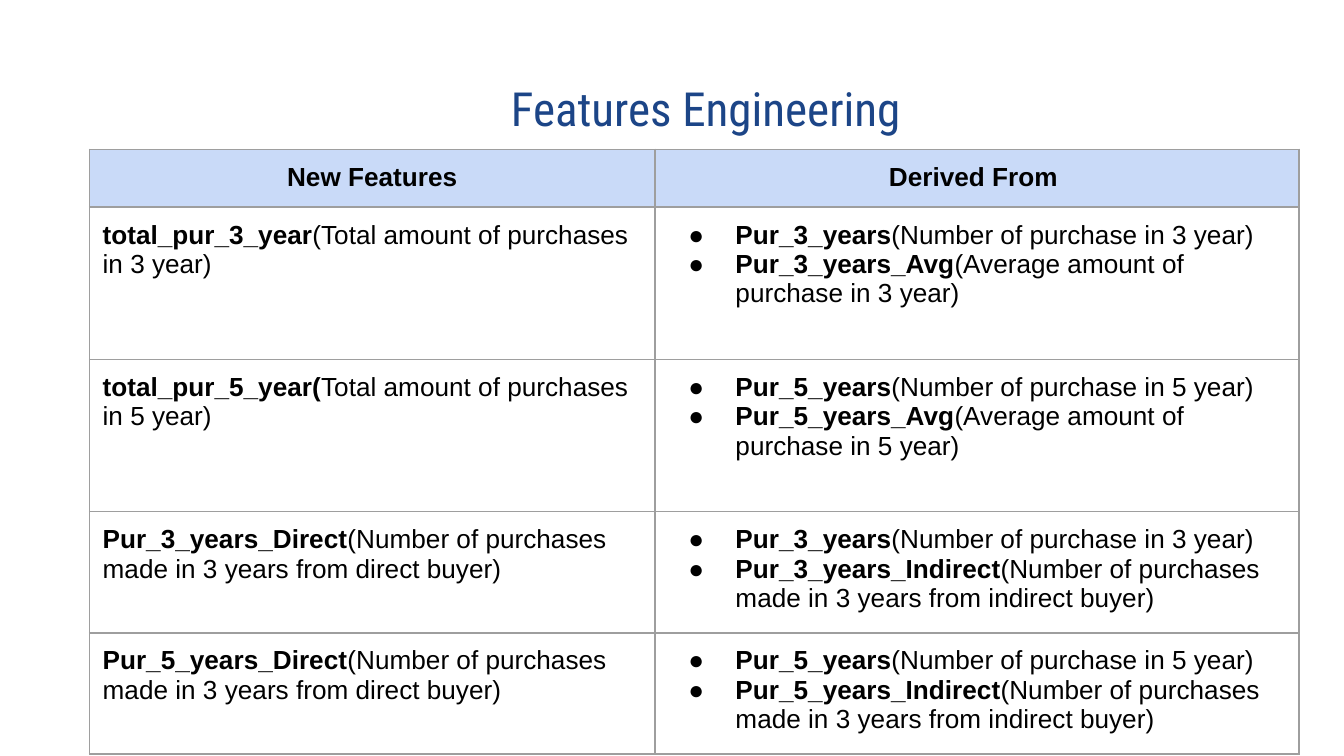
import pptx
import pptx.dml.color
import pptx.enum.text
import pptx.oxml
import pptx.oxml.ns
import pptx.util
from pptx.util import Cm

BLACK = pptx.dml.color.RGBColor(0x00, 0x00, 0x00)
NAVY = pptx.dml.color.RGBColor(0x1C, 0x45, 0x87)
PALE = pptx.dml.color.RGBColor(0xC9, 0xDA, 0xF8)
GRAY = pptx.dml.color.RGBColor(0x9E, 0x9E, 0x9E)
CENTER = pptx.enum.text.PP_ALIGN.CENTER
MIDDLE = pptx.enum.text.MSO_ANCHOR.MIDDLE
PAD = Cm(0.25)
COLS = [10.69, 12.17]
ROWS = [1.09, 2.88, 2.88, 2.29, 2.29]

HEADS = ["New Features", "Derived From "]
DIRECT = "(Number of purchases made in 3 years from direct buyer)"
INDIRECT = "(Number of purchases made in 3 years from indirect buyer)"
COUNT = "(Number of purchase in {} year)"
MEAN = "(Average amount of purchase in {} year)"

# Each row: the new feature, then its sources, all as (bold, plain) pairs
FEATURES = [
    [("total_pur_3_year", "(Total amount of purchases in 3 year)"),
     ("Pur_3_years", COUNT.format(3)),
     ("Pur_3_years_Avg", MEAN.format(3))],
    [("total_pur_5_year(", "Total amount of purchases in 5 year)"),
     ("Pur_5_years", COUNT.format(5)),
     ("Pur_5_years_Avg", MEAN.format(5))],
    [("Pur_3_years_Direct", DIRECT),
     ("Pur_3_years", COUNT.format(3)),
     ("Pur_3_years_Indirect", INDIRECT)],
    [("Pur_5_years_Direct", DIRECT),
     ("Pur_5_years", COUNT.format(5)),
     ("Pur_5_years_Indirect", INDIRECT)],
]


def make(tag, inner="", attrs=""):
    """Return a new element of the drawing namespace."""
    space = pptx.oxml.ns.nsdecls("a")
    return pptx.oxml.parse_xml(f"<a:{tag} {space} {attrs}>{inner}</a:{tag}>")


def set_font(para, name, size, color):
    para.font.name = name
    para.font.size = pptx.util.Pt(size)
    para.font.color.rgb = color


def set_pads(item):
    item.margin_left = item.margin_right = PAD
    item.margin_top = item.margin_bottom = PAD


def add_title(slide, text):
    box = slide.shapes.add_textbox(Cm(0.87), Cm(1.24), Cm(23.67), Cm(1.6))
    frame = box.text_frame
    frame.word_wrap = True
    frame.vertical_anchor = MIDDLE
    set_pads(frame)
    para = frame.paragraphs[0]
    para.text = text
    para.alignment = CENTER
    para._p.get_or_add_pPr().set("marL", str(Cm(1.27)))
    set_font(para, "Roboto Condensed", 25.2, NAVY)


def add_edges(cell):
    props = cell._tc.get_or_add_tcPr()
    fill = f'<a:solidFill><a:srgbClr val="{GRAY}"/></a:solidFill>'
    for i, side in enumerate(["lnL", "lnR", "lnT", "lnB"]):
        width = pptx.util.Pt(0.75)
        props.insert(i, make(side, fill, f'w="{width}"'))


def add_bullet(para):
    props = para._p.get_or_add_pPr()
    props.set("marL", str(Cm(1.27)))
    props.set("indent", str(Cm(-0.89)))
    props.append(make("buClr", f'<a:srgbClr val="{BLACK}"/>'))
    props.append(make("buFont", attrs='typeface="Arial"'))
    props.append(make("buChar", attrs='char="●"'))


def fill_cell(cell, pairs, bullet=False):
    """Write one paragraph for each (bold, plain) pair."""
    frame = cell.text_frame
    for i, pair in enumerate(pairs):
        para = frame.add_paragraph() if i else frame.paragraphs[0]
        set_font(para, "Arial", 14, BLACK)
        if bullet:
            add_bullet(para)
        for text, bold in zip(pair, (True, False)):
            run = para.add_run()
            run.text = text
            run.font.bold = bold


def add_grid(slide):
    frame = slide.shapes.add_table(
        len(ROWS), len(COLS), Cm(1.69), Cm(2.82),
        Cm(sum(COLS)), Cm(sum(ROWS)))
    table = frame.table
    table.first_row = False
    table.horz_banding = False
    for col, width in zip(table.columns, COLS):
        col.width = Cm(width)
    for row, height in zip(table.rows, ROWS):
        row.height = Cm(height)
    for cell in table.iter_cells():
        set_pads(cell)
        cell.fill.background()
        add_edges(cell)
    for i, head in enumerate(HEADS):
        cell = table.cell(0, i)
        cell.fill.solid()
        cell.fill.fore_color.rgb = PALE
        fill_cell(cell, [(head,)])
        cell.text_frame.paragraphs[0].alignment = CENTER
    for i, (name, *parts) in enumerate(FEATURES, 1):
        fill_cell(table.cell(i, 0), [name])
        fill_cell(table.cell(i, 1), parts, bullet=True)


def main():
    deck = pptx.Presentation()
    deck.slide_width = Cm(25.4)
    deck.slide_height = Cm(14.29)
    slide = deck.slides.add_slide(deck.slide_layouts[6])
    add_title(slide, "Features Engineering")
    add_grid(slide)
    deck.save("out.pptx")


if __name__ == "__main__":
    main()
